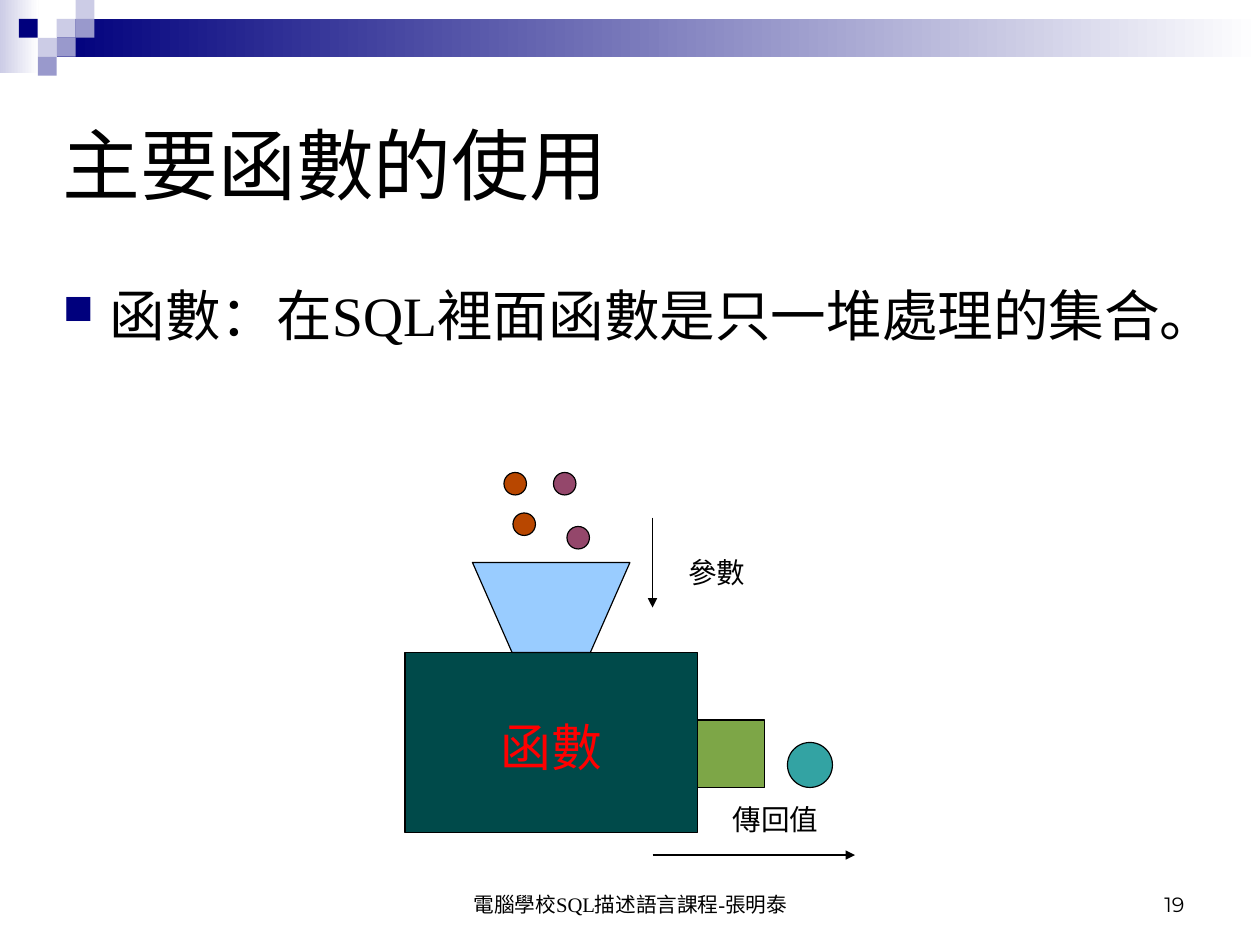
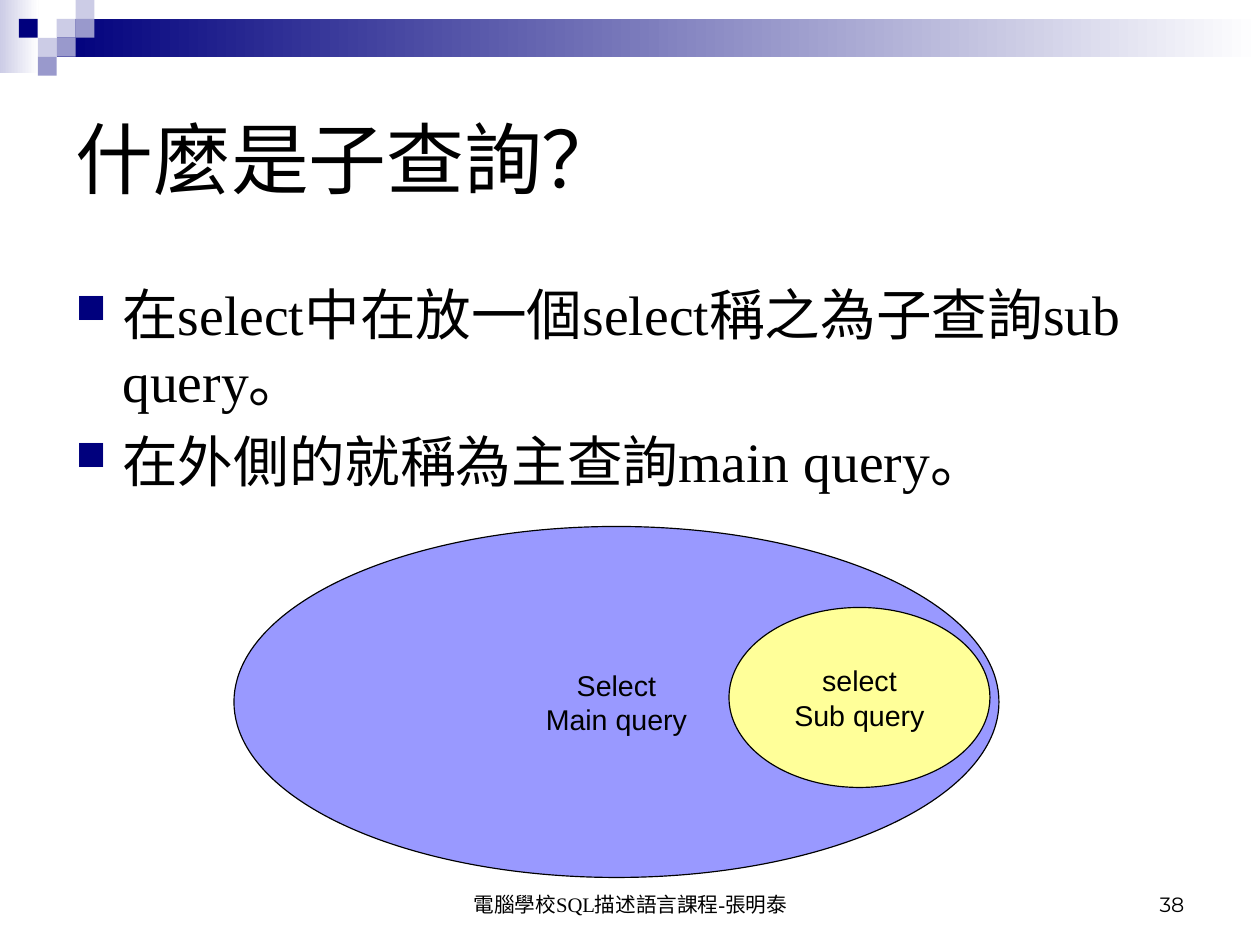
from dataclasses import dataclass

from lxml import etree
from pptx import Presentation
from pptx import util as u
from pptx.dml.color import RGBColor
from pptx.enum import shapes, text
from pptx.oxml import ns

RECTANGLE = shapes.MSO_SHAPE.RECTANGLE
OVAL = shapes.MSO_SHAPE.OVAL
MIDDLE, BOTTOM = text.MSO_ANCHOR.MIDDLE, text.MSO_ANCHOR.BOTTOM
CENTER, RIGHT = text.PP_ALIGN.CENTER, text.PP_ALIGN.RIGHT


@dataclass(frozen=True)
class Theme:
    black: str = "000000"
    white: str = "FFFFFF"
    navy: str = "00007D"
    mid: str = "9999CC"
    pale: str = "CCCCE6"
    red: str = "FF0000"
    machine: str = "004A4A"
    funnel: str = "99CCFF"
    outlet: str = "7DA647"
    orange: str = "B84700"
    plum: str = "94476B"
    teal: str = "33A3A3"
    main_query: str = "9999FF"
    sub_query: str = "FFFF99"
    serif: str = "Times New Roman"
    sans: str = "Arial"
    number_font: str = "Montserrat"
    title_size: float = 49
    body_size: float = 35
    machine_size: float = 32
    label_size: float = 18
    footer_size: float = 13
    line_width: float = 0.74
    wide_inset: tuple = (0.28, 0.15)
    shape_inset: tuple = (0.25, 0.13)
    cell: float = 0.42


def add_xml(parent, tag, **attributes):
    return etree.SubElement(parent, ns.qn(tag), attributes)


def add_bullet(paragraph, color):
    properties = paragraph._p.get_or_add_pPr()
    indent = u.Cm(1.04)
    properties.set("marL", str(indent))
    properties.set("indent", str(-indent))
    add_xml(add_xml(properties, "a:buClr"), "a:srgbClr", val=color)
    add_xml(properties, "a:buSzPct", val="75000")
    add_xml(properties, "a:buChar", char="■")


def write(frame, lines, *, size, font, color, align=None, anchor=None, inset=(0, 0),
          wrap=True, spacing=None, before=None, bullet=None):
    frame.word_wrap = wrap
    frame.vertical_anchor = anchor or text.MSO_ANCHOR.TOP
    frame.margin_left = frame.margin_right = u.Cm(inset[0])
    frame.margin_top = frame.margin_bottom = u.Cm(inset[1])
    for index, line in enumerate(lines.split("\n")):
        paragraph = frame.add_paragraph() if index else frame.paragraphs[0]
        paragraph.alignment = align or text.PP_ALIGN.LEFT
        if spacing:
            paragraph.line_spacing = spacing
        if before:
            paragraph.space_before = u.Pt(before)
        if bullet:
            add_bullet(paragraph, bullet)
        run = paragraph.add_run()
        run.text = line
        run.font.size = u.Pt(size)
        run.font.name = font
        run.font.color.rgb = RGBColor.from_string(color)


class Deck:
    """Draws styled elements on the current slide; lengths are in centimetres."""

    def __init__(self, theme):
        self.theme = theme
        self.presentation = Presentation()
        self.presentation.slide_width = u.Cm(28)
        self.presentation.slide_height = u.Cm(21)
        self.slide = None

    def new_slide(self, number):
        theme = self.theme
        self.slide = self.presentation.slides.add_slide(self.presentation.slide_layouts[6])
        self.gradient(0, 0, 0.86, 1.63, theme.pale)
        self.gradient(1.27, theme.cell, 26.73, 2 * theme.cell, theme.navy)
        squares = {
            theme.pale: [(3, 1), (4, 0), (2, 2)],
            theme.mid: [(4, 1), (3, 2), (2, 3)],
            theme.navy: [(1, 1)],
        }
        for color, places in squares.items():
            for column, row in places:
                self.shape(RECTANGLE, column * theme.cell, row * theme.cell,
                           theme.cell, theme.cell, color, outlined=False)
        self.footer("電腦學校SQL描述語言課程-張明泰", 9.58, 8.86, theme.serif, CENTER)
        self.footer(str(number), 20.07, 6.53, theme.number_font, RIGHT)

    def finish(self, shape, fill, outlined=True):
        shape.shadow.inherit = False
        if fill:
            shape.fill.solid()
            shape.fill.fore_color.rgb = RGBColor.from_string(fill)
        if outlined:
            self.outline(shape.line)
        else:
            shape.line.fill.background()
        return shape

    def outline(self, line):
        line.color.rgb = RGBColor.from_string(self.theme.black)
        line.width = u.Pt(self.theme.line_width)

    def shape(self, kind, left, top, width, height, fill, outlined=True):
        shape = self.slide.shapes.add_shape(
            kind, u.Cm(left), u.Cm(top), u.Cm(width), u.Cm(height))
        return self.finish(shape, fill, outlined)

    def gradient(self, left, top, width, height, color):
        shape = self.shape(RECTANGLE, left, top, width, height, None, outlined=False)
        shape.fill.gradient()
        shape.fill.gradient_angle = 0
        for stop, stop_color in zip(shape.fill.gradient_stops, (color, self.theme.white)):
            stop.color.rgb = RGBColor.from_string(stop_color)

    def outline_shape(self, points, fill):
        corners = [(u.Cm(x), u.Cm(y)) for x, y in points]
        builder = self.slide.shapes.build_freeform(*corners[0])
        builder.add_line_segments(corners[1:], close=True)
        self.finish(builder.convert_to_shape(), fill)

    def arrow(self, *ends):
        connector = self.slide.shapes.add_connector(
            shapes.MSO_CONNECTOR.STRAIGHT, *map(u.Cm, ends))
        self.outline(connector.line)
        add_xml(connector.line._get_or_add_ln(), "a:tailEnd", type="triangle")
        add_xml(connector._element.spPr, "a:effectLst")

    def text_box(self, lines, left, top, width, height, **style):
        box = self.slide.shapes.add_textbox(
            u.Cm(left), u.Cm(top), u.Cm(width), u.Cm(height))
        write(box.text_frame, lines, **{"color": self.theme.black, **style})

    def title(self, line, **style):
        self.text_box(line, 1.4, 1.4, 25.2, 4.2, size=self.theme.title_size,
                      font=self.theme.serif, anchor=MIDDLE, **style)

    def body(self, lines, **style):
        self.text_box(lines, 1.4, 6.07, 25.2, 11.9, size=self.theme.body_size,
                      font=self.theme.serif, before=8.8, bullet=self.theme.navy, **style)

    def footer(self, line, left, width, font, align):
        self.text_box(line, left, 19.13, width, 1.4, size=self.theme.footer_size,
                      font=font, align=align, anchor=BOTTOM, inset=self.theme.wide_inset)

    def label(self, line, left, top, width):
        self.text_box(line, left, top, width, 0.97, size=self.theme.label_size,
                      font=self.theme.sans, inset=self.theme.shape_inset,
                      wrap=False, spacing=0.93)

    def caption(self, shape, lines, **style):
        defaults = {"size": self.theme.label_size, "color": self.theme.black}
        write(shape.text_frame, lines, font=self.theme.sans, align=CENTER, anchor=MIDDLE,
              inset=self.theme.shape_inset, **{**defaults, **style})


def function_slide(deck):
    theme = deck.theme
    deck.new_slide(19)
    deck.title("主要函數的使用", spacing=1.12)
    deck.body("函數：在SQL裡面函數是只一堆處理的集合。", spacing=1.12)
    machine = deck.shape(RECTANGLE, 9, 14.5, 6.5, 4, theme.machine)
    deck.caption(machine, "函數", size=theme.machine_size, color=theme.red, spacing=1.12)
    deck.outline_shape([(10.5, 12.5), (14, 12.5), (13.12, 14.5), (11.38, 14.5)],
                       theme.funnel)
    deck.shape(RECTANGLE, 15.5, 16, 1.5, 1.5, theme.outlet)
    arguments = [(11.2, 10.5, theme.orange), (12.3, 10.5, theme.plum),
                 (11.4, 11.4, theme.orange), (12.6, 11.7, theme.plum)]
    for left, top, color in arguments:
        deck.shape(OVAL, left, top, 0.5, 0.5, color)
    deck.shape(OVAL, 17.5, 16.5, 1, 1, theme.teal)
    deck.arrow(14.5, 11.5, 14.5, 13.5)
    deck.arrow(14.5, 19, 19, 19)
    deck.label("參數", 15.04, 12.27, 1.78)
    deck.label("傳回值", 16.03, 17.75, 2.41)


def subquery_slide(deck):
    theme = deck.theme
    deck.new_slide(38)
    deck.title("什麼是子查詢？", inset=theme.wide_inset)
    deck.body("在select中在放一個select稱之為子查詢sub query。\n在外側的就稱為主查詢main query。",
              inset=theme.wide_inset)
    main_query = deck.shape(OVAL, 5.2, 11.7, 17, 7.8, theme.main_query)
    deck.caption(main_query, "Select\nMain query", wrap=False)
    sub_query = deck.shape(OVAL, 16.2, 13.5, 5.8, 4, theme.sub_query)
    deck.caption(sub_query, "select\nSub query", wrap=False)


def main():
    deck = Deck(Theme())
    function_slide(deck)
    subquery_slide(deck)
    deck.presentation.save("out.pptx")


main()
